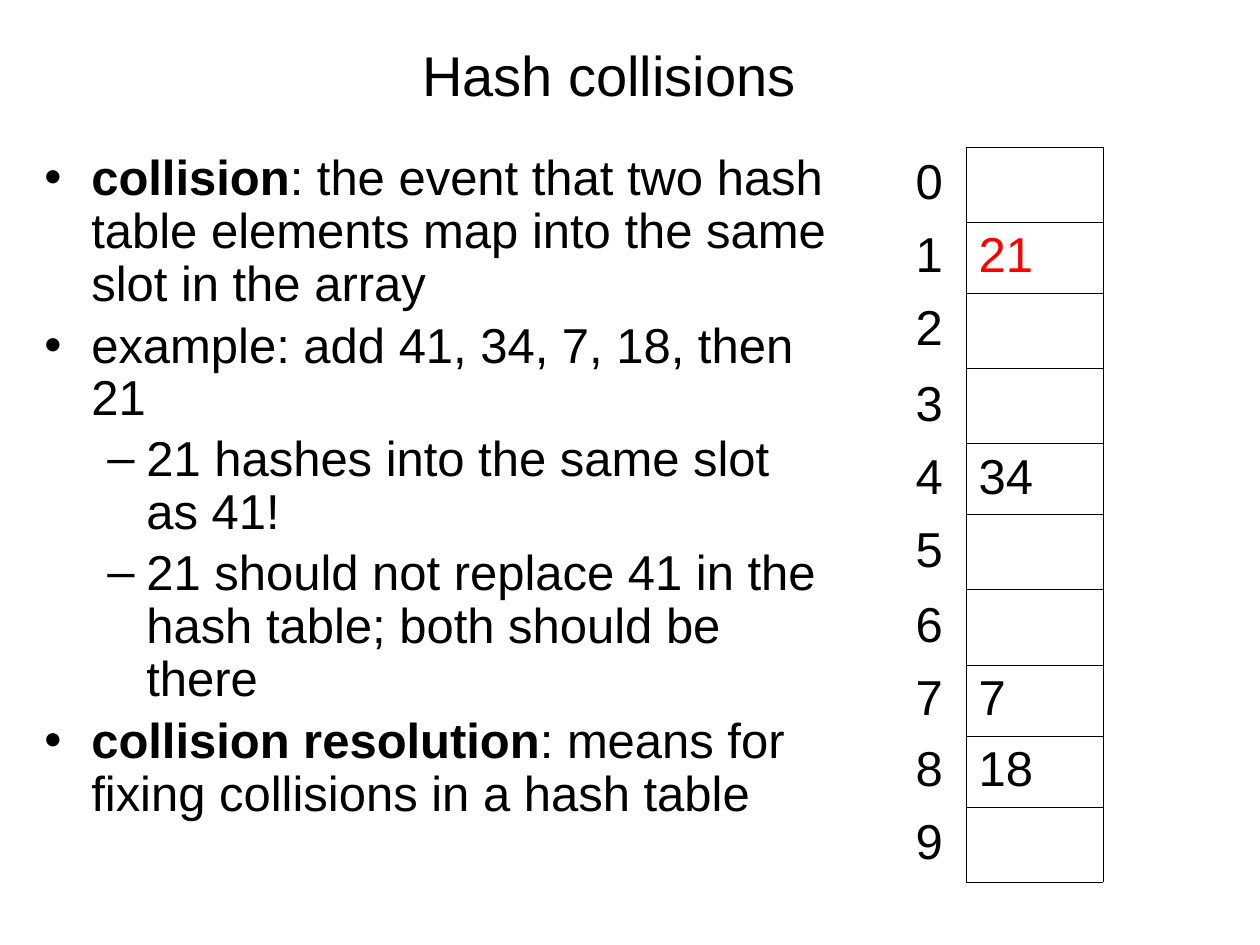
import lxml.etree
import pptx
import pptx.dml.color
import pptx.enum.text
import pptx.oxml.ns
import pptx.util

PIXEL = 914400 / 126
FONT = "Arial"
BLACK = pptx.dml.color.RGBColor(0x00, 0x00, 0x00)
RED = pptx.dml.color.RGBColor(0xFF, 0x00, 0x00)
THIN, MEDIUM = 0.11, 0.23
EDGES = ("L", "R", "T", "B")

POINTS = [
    (0, "collision", ": the event that two hash table elements map into the same slot in the array"),
    (0, "", "example: add 41, 34, 7, 18, then 21"),
    (1, "", "21 hashes into the same slot as 41!"),
    (1, "", "21 should not replace 41 in the hash table; both should be there"),
    (0, "collision resolution", ": means for fixing collisions in a hash table"),
]
BULLETS = [("•", 47, -47, 5), ("–", 102, -39, 4.5)]
SLOT_COUNT = 10
SLOT_VALUES = {1: "21", 4: "34", 7: "7", 8: "18"}
COLLIDING_SLOT = 1


def px(length):
    """Turn pixels into EMU."""
    return pptx.util.Emu(round(length * PIXEL))


def add_element(parent, tag, **attributes):
    """Append a DrawingML child element."""
    child = lxml.etree.SubElement(parent, pptx.oxml.ns.qn(tag))
    for name, value in attributes.items():
        child.set(name, str(value))
    return child


def style_runs(paragraph, size, color=BLACK):
    """Give every run of a paragraph the slide's font."""
    for run in paragraph.runs:
        run.font.name = FONT
        run.font.size = pptx.util.Pt(size)
        run.font.color.rgb = color


def place_title(slide, left, top, width, height):
    """Move and format the title placeholder."""
    title = slide.shapes.title
    title.left, title.top, title.width, title.height = map(px, (left, top, width, height))
    title.text_frame.text = "Hash collisions"
    title.text_frame.vertical_anchor = pptx.enum.text.MSO_ANCHOR.MIDDLE
    paragraph = title.text_frame.paragraphs[0]
    paragraph.alignment = pptx.enum.text.PP_ALIGN.CENTER
    style_runs(paragraph, 32)


def format_bullet(paragraph, level):
    """Set spacing, indent and bullet for an outline level."""
    character, margin, indent, space = BULLETS[level]
    paragraph.level = level
    paragraph.line_spacing = 0.9
    paragraph.space_before = pptx.util.Pt(space)
    properties = paragraph._p.get_or_add_pPr()
    properties.set("marL", str(px(margin)))
    properties.set("indent", str(px(indent)))
    add_element(properties, "a:buFont", typeface=FONT)
    add_element(properties, "a:buChar", char=character)


def add_points(slide, left, top, width, height):
    """Add the bulleted explanation."""
    text_frame = slide.shapes.add_textbox(*map(px, (left, top, width, height))).text_frame
    text_frame.word_wrap = True
    for index, (level, term, text) in enumerate(POINTS):
        paragraph = text_frame.add_paragraph() if index else text_frame.paragraphs[0]
        format_bullet(paragraph, level)
        if term:
            run = paragraph.add_run()
            run.text = term
            run.font.bold = True
        paragraph.add_run().text = text
        style_runs(paragraph, 28)


def set_borders(cell, widths):
    """Draw the listed edges in black and hide the others."""
    properties = cell._tc.get_or_add_tcPr()
    for edge in EDGES:
        points = widths.get(edge, 0)
        line = add_element(properties, f"a:ln{edge}", w=pptx.util.Pt(points))
        if points:
            add_element(add_element(line, "a:solidFill"), "a:srgbClr", val=BLACK)
        else:
            add_element(line, "a:noFill")


def fill_cell(cell, text, color, borders):
    """Write and format one cell of the hash table."""
    set_borders(cell, borders)
    cell.fill.background()
    cell.vertical_anchor = pptx.enum.text.MSO_ANCHOR.MIDDLE
    cell.text_frame.text = text
    paragraph = cell.text_frame.paragraphs[0]
    paragraph.line_spacing = 0.93
    paragraph.space_before = pptx.util.Pt(7)
    style_runs(paragraph, 28, color)


def add_hash_table(slide, left, top, width, height):
    """Add the array of numbered slots, with filled slots slightly lower."""
    frame = slide.shapes.add_table(SLOT_COUNT, 2, *map(px, (left, top, width, height)))
    table = frame.table
    table.first_row = table.horz_banding = False
    index_width = 63
    table.columns[0].width = px(index_width)
    table.columns[1].width = px(width - index_width)
    filled_height = 71
    empty_height = (height - filled_height * len(SLOT_VALUES)) / (SLOT_COUNT - len(SLOT_VALUES))
    for slot in range(SLOT_COUNT):
        table.rows[slot].height = px(filled_height if slot in SLOT_VALUES else empty_height)
        fill_cell(table.cell(slot, 0), str(slot), BLACK, {"R": THIN})
        borders = {
            "L": THIN,
            "R": MEDIUM,
            "T": THIN if slot else MEDIUM,
            "B": THIN if slot < SLOT_COUNT - 1 else MEDIUM,
        }
        color = RED if slot == COLLIDING_SLOT else BLACK
        fill_cell(table.cell(slot, 1), SLOT_VALUES.get(slot, ""), color, borders)


def main():
    """Build and save the slide."""
    presentation = pptx.Presentation()
    presentation.slide_width = px(1260)
    presentation.slide_height = px(945)
    slide = presentation.slides.add_slide(presentation.slide_layouts[5])
    place_title(slide, 42, 32, 1134, 84)
    add_points(slide, 32, 147, 809, 697)
    add_hash_table(slide, 903, 147, 200, 735)
    presentation.save("out.pptx")


if __name__ == "__main__":
    main()
